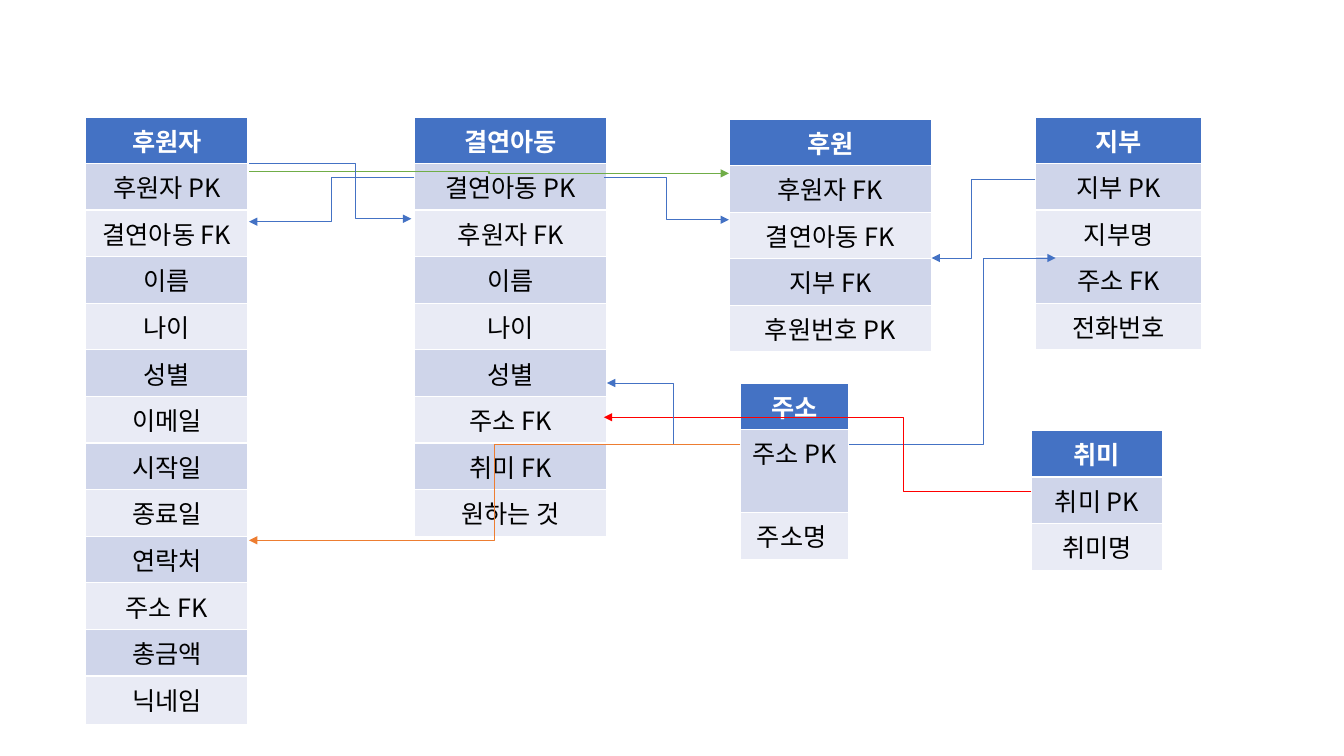
from lxml import etree
from pptx import Presentation
from pptx.dml.color import RGBColor
from pptx.enum.shapes import MSO_CONNECTOR as Link
from pptx.enum.text import PP_ALIGN as Align
from pptx.oxml.ns import qn
from pptx.util import Inches, Pt

FONT = "Noto Sans CJK KR"
COLORS = {
    "head": "4472C4", "dark": "CFD5EA", "light": "E9EBF5",
    "white": "FFFFFF", "black": "000000",
    "blue": "4472C4", "red": "FF0000", "orange": "ED7D31", "green": "70AD47",
}

# left, top, width, row height, last row height, header and fields
TABLES = [
    (7.23, 1.18, 2.01, 0.35, 0.35,
     ["후원", "후원자 FK", "결연아동 FK", "지부 FK", "후원번호 PK"]),
    (0.85, 1.16, 1.61, 0.32, 0.48,
     ["후원자", "후원자 PK", "결연아동 FK", "이름", "나이", "성별", "이메일",
      "시작일", "종료일", "연락처", "주소 FK", "총금액", "닉네임"]),
    (10.27, 1.16, 1.65, 0.36, 0.42,
     ["지부", "지부 PK", "지부명", "주소 FK", "전화번호"]),
    (4.11, 1.16, 1.91, 0.35, 0.43,
     ["결연아동", "결연아동 PK", "후원자 FK", "이름", "나이", "성별",
      "주소 FK", "취미 FK", "원하는 것"]),
    (10.23, 4.27, 1.3, 0.41, 0.41, ["취미", "취미 PK", "취미명"]),
    (7.34, 3.8, 1.08, 0.41, 0.41, ["주소", "주소 PK", "주소명 "]),
]

# start, end, x of the bend, colour, line width
LINKS = [
    ((8.42, 4.41), (10.47, 2.56), 9.75, "blue", 0.5),
    ((10.23, 4.88), (5.99, 4.14), 8.96, "red", 0.5),
    ((7.34, 4.41), (6.02, 3.8), 6.68, "blue", 0.5),
    ((7.34, 4.41), (2.47, 5.36), 4.9, "orange", 0.5),
    ((4.11, 1.76), (2.47, 2.2), 3.29, "blue", 0.5),
    ((2.47, 1.7), (7.23, 1.72), 4.85, "green", 1),
    ((5.99, 1.76), (7.23, 2.18), 6.61, "blue", 0.5),
    ((2.47, 1.62), (4.08, 2.17), 3.52, "blue", 0.5),
    ((10.27, 1.78), (9.24, 2.56), 9.63, "blue", 0.5),
]


def color(name):
    return RGBColor.from_string(COLORS[name])


def fill_cell(cell, text, row):
    cell.fill.solid()
    shade = "head" if row == 0 else "dark" if row % 2 else "light"
    cell.fill.fore_color.rgb = color(shade)
    cell.text = text
    para = cell.text_frame.paragraphs[0]
    para.alignment = Align.CENTER
    font = para.font
    font.name, font.size, font.bold = FONT, Pt(18), row == 0
    font.color.rgb = color("black" if row else "white")


def add_entity(slide, left, top, width, height, last, names):
    heights = [height] * (len(names) - 1) + [last]
    box = map(Inches, (left, top, width, sum(heights)))
    table = slide.shapes.add_table(len(names), 1, *box).table
    for row, (name, high) in enumerate(zip(names, heights)):
        table.rows[row].height = Inches(high)
        fill_cell(table.cell(row, 0), name, row)


def add_link(slide, start, end, bend, shade, width):
    """Draw an elbow arrow whose upright part stands at x = bend."""
    ends = map(Inches, start + end)
    link = slide.shapes.add_connector(Link.ELBOW, *ends)
    link.line.color.rgb = color(shade)
    link.line.width = Pt(width)
    props = link._element.spPr
    part = round((bend - start[0]) / (end[0] - start[0]) * 100000)
    guides = props.find(qn("a:prstGeom")).get_or_add_avLst()
    etree.SubElement(guides, qn("a:gd"), name="adj1", fmla=f"val {part}")
    etree.SubElement(props.find(qn("a:ln")), qn("a:tailEnd"), type="triangle")
    etree.SubElement(props, qn("a:effectLst"))


def main():
    deck = Presentation()
    deck.slide_width, deck.slide_height = Inches(13.33), Inches(7.5)
    slide = deck.slides.add_slide(deck.slide_layouts[6])
    for entity in TABLES:
        add_entity(slide, *entity)
    for link in LINKS:
        add_link(slide, *link)
    deck.save("out.pptx")


if __name__ == "__main__":
    main()
